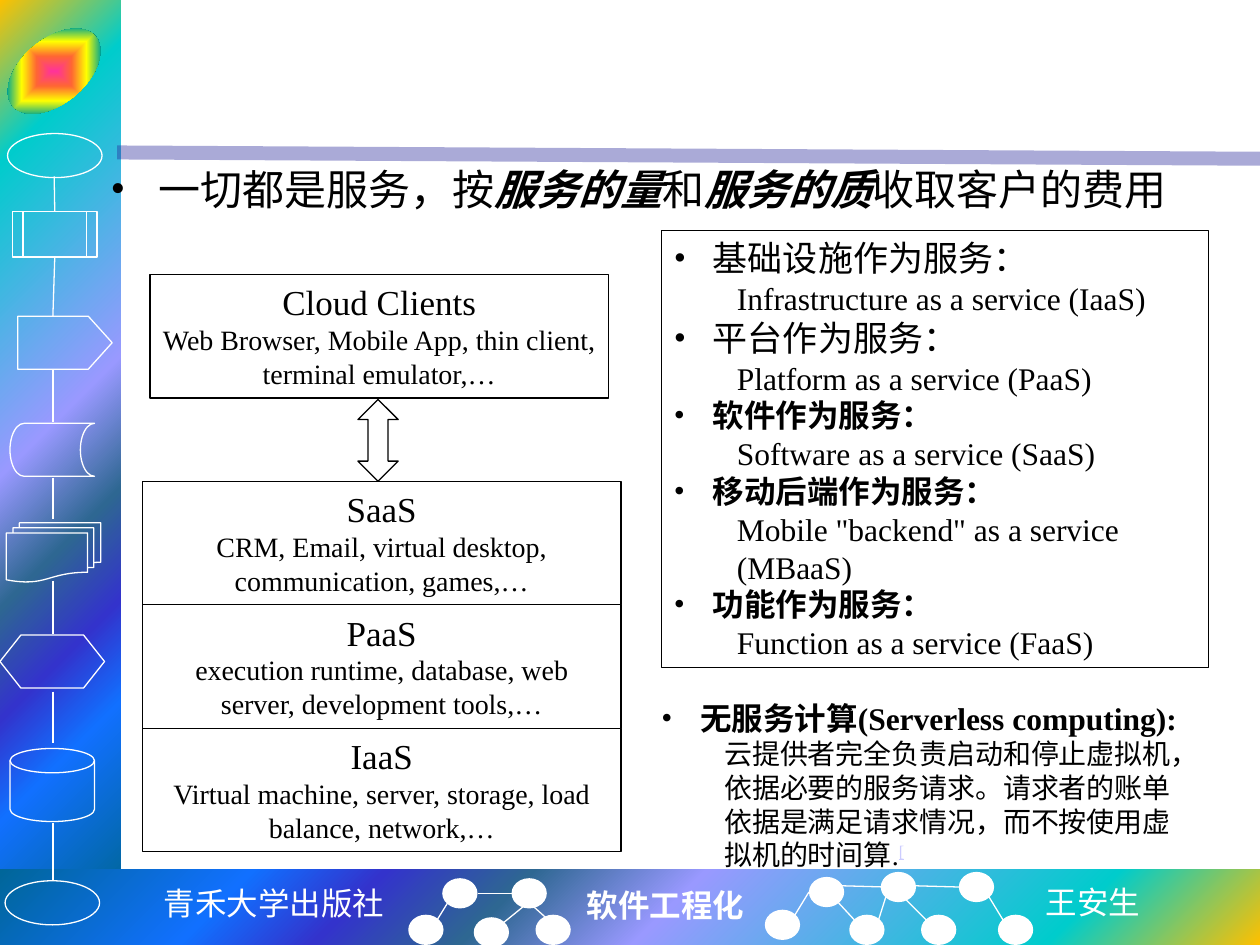
from collections import namedtuple

from lxml import etree
from pptx import Presentation
from pptx import util as u
from pptx.dml.color import RGBColor
from pptx.enum import shapes, text
from pptx.oxml.ns import qn

WHITE = RGBColor(0xFF, 0xFF, 0xFF)
BLACK = RGBColor(0x00, 0x00, 0x00)
NAVY = RGBColor(0x26, 0x26, 0x99)
LILAC = RGBColor(0xCC, 0xCC, 0xFF)
FRAME_STOPS = [(0, "FFC000"), (16, "00CCCC"), (47, "9999FF"), (60, "2E6792"),
               (71, "3333CC"), (81, "1170FF"), (100, "006699")]
BADGE_STOPS = [(0, "FF3399"), (25, "FF6633"), (50, "FFFF00"),
               (75, "01A78F"), (100, "3366FF")]

SERIF, SANS, MONO = "Times New Roman", "Noto Sans CJK SC", "DejaVu Sans Mono"
KIND = shapes.MSO_SHAPE

# runs is a list of (text, marks); marks: b bold, i italic, ^ footnote mark
Line = namedtuple("Line", "runs size bullet indent", defaults=(0, 0))


class Painter:
    """Holds the current slide and the common style."""

    def __init__(self, slide, font=SERIF, line_width=0.75):
        self.slide = slide
        self.font = font
        self.line_width = line_width

    def shape(self, kind, box, fill=None, line=None):
        shape = self.slide.shapes.add_shape(kind, *map(u.Inches, box))
        shape.shadow.inherit = False
        if fill is None:
            shape.fill.background()
        else:
            shape.fill.solid()
            shape.fill.fore_color.rgb = fill
        if line is None:
            shape.line.fill.background()
        else:
            shape.line.color.rgb = line
            shape.line.width = u.Pt(self.line_width)
        return shape

    def gradient(self, kind, box, stops, form, focus):
        """Shape whose colours spread from focus (left, top, right, bottom in %)."""
        shape = self.shape(kind, box)
        properties = shape._element.spPr
        gradient = etree.Element(qn("a:gradFill"), rotWithShape="1")
        stop_list = etree.SubElement(gradient, qn("a:gsLst"))
        for position, color in stops:
            stop = etree.SubElement(stop_list, qn("a:gs"), pos=str(position * 1000))
            etree.SubElement(stop, qn("a:srgbClr"), val=color)
        spread = etree.SubElement(gradient, qn("a:path"), path=form)
        edges = {side: str(value * 1000) for side, value in zip("ltrb", focus)}
        etree.SubElement(spread, qn("a:fillToRect"), **edges)
        properties.replace(properties.find(qn("a:noFill")), gradient)
        return shape

    def line(self, start, end, color=WHITE, width=None, opacity=None,
             begin_join=None, end_join=None):
        points = map(u.Inches, (*start, *end))
        line = self.slide.shapes.add_connector(shapes.MSO_CONNECTOR.STRAIGHT, *points)
        line.line.color.rgb = color
        line.line.width = u.Pt(width or self.line_width)
        if opacity:
            color_element = line._element.spPr.find(".//" + qn("a:srgbClr"))
            etree.SubElement(color_element, qn("a:alpha"), val=str(opacity * 1000))
        etree.SubElement(line._element.spPr, qn("a:effectLst"))
        if begin_join:
            line.begin_connect(*begin_join)
        if end_join:
            line.end_connect(*end_join)

    def text_box(self, box, lines, **style):
        shape = self.slide.shapes.add_textbox(*map(u.Inches, box))
        self.fill_text(shape, lines, **style)

    def fill_text(self, shape, lines, color=BLACK, font=None, wrap=True, grow=True,
                  align=text.PP_ALIGN.LEFT):
        frame = shape.text_frame
        frame.word_wrap = wrap
        frame.vertical_anchor = text.MSO_ANCHOR.TOP
        if grow:
            frame.auto_size = text.MSO_AUTO_SIZE.SHAPE_TO_FIT_TEXT
        for index, line in enumerate(lines):
            paragraph = frame.paragraphs[0] if index == 0 else frame.add_paragraph()
            paragraph.alignment = align
            self.indent(paragraph, line)
            for words, marks in line.runs:
                run = paragraph.add_run()
                run.text = words
                run.font.size = u.Pt(line.size)
                run.font.bold = "b" in marks
                run.font.italic = "i" in marks
                run.font.color.rgb = color
                run.font.name = font or self.font
                properties = run._r.get_or_add_rPr()
                etree.SubElement(properties, qn("a:ea"), typeface=SANS)
                if "^" in marks:
                    run.font.color.rgb = LILAC
                    run.font.underline = True
                    properties.set("baseline", "30000")

    def indent(self, paragraph, line):
        properties = paragraph._p.get_or_add_pPr()
        if line.bullet:
            properties.set("marL", str(u.Inches(line.bullet)))
            properties.set("indent", str(-u.Inches(line.bullet)))
            etree.SubElement(properties, qn("a:buFont"), typeface=self.font)
            etree.SubElement(properties, qn("a:buChar"), char="•")
        elif line.indent:
            paragraph.level = 1
            properties.set("marL", str(u.Inches(line.indent)))
            properties.set("indent", "0")


def draw_sidebar(painter):
    badge = painter.gradient(KIND.OVAL, (0, 0.31, 0.86, 0.51), BADGE_STOPS,
                             "shape", (50, 50, 50, 50))
    badge.rotation = -40
    symbols = [
        (KIND.OVAL, (0.06, 1.06, 0.75, 0.35)),
        (KIND.FLOWCHART_PREDEFINED_PROCESS, (0.1, 1.68, 0.67, 0.36)),
        (KIND.PENTAGON, (0.14, 2.51, 0.75, 0.42)),
        (KIND.FLOWCHART_STORED_DATA, (0.08, 3.36, 0.67, 0.42)),
        (KIND.FLOWCHART_MULTIDOCUMENT, (0.05, 4.15, 0.75, 0.47)),
        (KIND.FLOWCHART_PREPARATION, (0, 5.04, 0.83, 0.42)),
        (KIND.FLOWCHART_MAGNETIC_DISK, (0.08, 5.94, 0.67, 0.58)),
        (KIND.OVAL, (0.04, 6.99, 0.75, 0.35)),
    ]
    drawn = [painter.shape(kind, box, line=WHITE) for kind, box in symbols]
    drawn[2].adjustments[0] = 0.45
    process = drawn[1]
    painter.line((0.43, 1.4), (0.43, 1.68), end_join=(process, 0))
    painter.line((0.43, 2.05), (0.42, 2.51), begin_join=(process, 2))
    for top, bottom in [(2.93, 3.35), (3.79, 4.12), (4.61, 5.03),
                        (5.49, 5.9), (6.53, 6.99)]:
        painter.line((0.42, top), (0.42, bottom))


def draw_footer(painter):
    painter.text_box((1.19, 6.97, 1.97, 0.4), [Line([("青禾大学出版社", "")], 18)],
                     color=WHITE, font=MONO, wrap=False, align=text.PP_ALIGN.CENTER)
    painter.text_box((4.56, 6.98, 1.46, 0.4), [Line([("软件工程化", "b")], 18)],
                     color=WHITE, wrap=False)
    painter.text_box((8.2, 6.96, 0.96, 0.4), [Line([("王安生", "")], 18)],
                     color=WHITE, font=SANS, wrap=False)
    for left, top in [(3.51, 6.97), (4.06, 6.97), (3.24, 7.26), (3.76, 7.28),
                      (4.25, 7.26), (6.42, 6.96), (6.99, 6.92), (7.61, 6.92),
                      (6.07, 7.22), (6.74, 7.26), (7.31, 7.26), (7.92, 7.26)]:
        painter.shape(KIND.OVAL, (left, top, 0.28, 0.24), fill=WHITE)
    for start, end in [
            ((3.47, 7.3), (3.55, 7.17)), ((4, 7.32), (4.16, 7.19)),
            ((4.06, 7.09), (3.79, 7.09)), ((4.34, 7.29), (4.24, 7.2)),
            ((6.78, 7.3), (6.65, 7.16)), ((7.35, 7.3), (7.15, 7.1)),
            ((7.96, 7.3), (7.85, 7.12)), ((6.97, 7.31), (7.03, 7.12)),
            ((7.26, 7.03), (7.61, 7.04)), ((6.31, 7.26), (6.42, 7.08)),
            ((6.68, 7.03), (7.03, 7.04))]:
        painter.line(start, end)


def draw_services(painter):
    services = [
        ("基础设施作为服务：", 20, "", "Infrastructure as a service (IaaS)"),
        ("平台作为服务：", 20, "", "Platform as a service (PaaS)"),
        ("软件作为服务：", 18, "b", "Software as a service (SaaS)"),
        ("移动后端作为服务：", 18, "b", 'Mobile "backend" as a service (MBaaS)'),
        ("功能作为服务：", 18, "b", "Function as a service (FaaS)"),
    ]
    lines = []
    for name, size, marks, english in services:
        lines.append(Line([(name, marks)], size, bullet=0.31))
        lines.append(Line([(english, "")], 18, indent=0.5))
    panel = painter.shape(KIND.RECTANGLE, (5.25, 1.83, 4.34, 3.47), WHITE, BLACK)
    painter.fill_text(panel, lines)
    serverless = ("云提供者完全负责启动和停止虚拟机，依据必要的服务请求。"
                  "请求者的账单依据是满足请求情况，而不按使用虚拟机的时间算.")
    painter.text_box((5.15, 5.5, 4.44, 1.48), [
        Line([("无服务计算(Serverless computing):", "b")], 18, bullet=0.31),
        Line([(serverless, ""), ("[", "^")], 16, indent=0.5)])


def draw_stack(painter):
    layers = [
        ("SaaS", "CRM, Email, virtual desktop, communication, games,…"),
        ("PaaS", "execution runtime, database, web server, development tools,…"),
        ("IaaS", "Virtual machine, server, storage, load balance, network,…"),
    ]
    height = 0.98
    boxes = [((1.19, 2.18, 3.64, height), "Cloud Clients",
              "Web Browser, Mobile App, thin client, terminal emulator,…")]
    boxes += [((1.13, 3.82 + height * row, 3.8, height), *layer)
              for row, layer in enumerate(layers)]
    for box, name, details in boxes:
        shape = painter.shape(KIND.RECTANGLE, box, line=BLACK)
        painter.fill_text(shape, [Line([(name, "")], 20), Line([(details, "")], 16)],
                          align=text.PP_ALIGN.CENTER)
    painter.shape(KIND.UP_DOWN_ARROW, (2.84, 3.17, 0.32, 0.65), line=BLACK)


def main():
    presentation = Presentation()
    presentation.slide_width, presentation.slide_height = u.Inches(10), u.Inches(7.5)
    painter = Painter(presentation.slides.add_slide(presentation.slide_layouts[6]))
    painter.gradient(KIND.RECTANGLE, (0, 0, 0.96, 7.09), FRAME_STOPS,
                     "circle", (0, 0, 100, 100))
    painter.gradient(KIND.RECTANGLE, (0, 6.9, 10, 0.6), FRAME_STOPS,
                     "circle", (100, 100, 0, 0))
    painter.line((0.93, 1.21), (10, 1.26), NAVY, width=8, opacity=39)
    draw_sidebar(painter)
    draw_footer(painter)
    headline = [("一切都是服务，按", ""), ("服务的量", "bi"), ("和", ""),
                ("服务的质", "bi"), ("收取客户的费用", "")]
    painter.text_box((0.78, 1.25, 8.75, 5.36), [Line(headline, 24, bullet=0.38)],
                     grow=False)
    draw_services(painter)
    draw_stack(painter)
    presentation.save("out.pptx")


if __name__ == "__main__":
    main()
